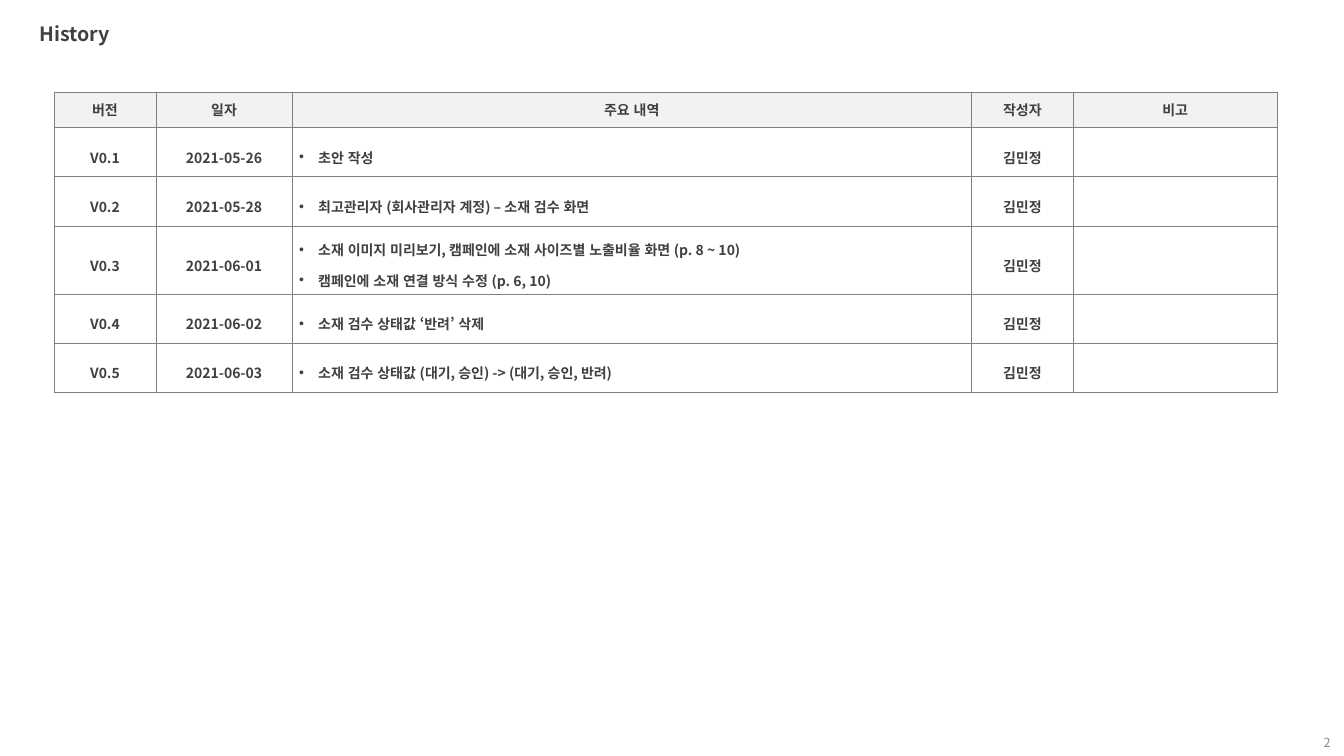
from dataclasses import dataclass

from lxml import etree
from pptx import Presentation
from pptx.dml.color import RGBColor
from pptx.enum.lang import MSO_LANGUAGE_ID
from pptx.enum.text import MSO_ANCHOR, PP_ALIGN
from pptx.oxml.ns import qn
from pptx.util import Cm, Pt

LEFT, CENTER, RIGHT = PP_ALIGN.LEFT, PP_ALIGN.CENTER, PP_ALIGN.RIGHT
TOP, MIDDLE = MSO_ANCHOR.TOP, MSO_ANCHOR.MIDDLE
KOREAN = MSO_LANGUAGE_ID.KOREAN
TITLE_ONLY = 5


@dataclass(frozen=True)
class Theme:
    font: str = "Noto Sans CJK KR"
    ink: str = "404040"
    muted: str = "8C8C8C"
    border: str = "808080"
    header_fill: str = "F2F2F2"
    body_fill: str = "FFFFFF"
    title_size: int = 14
    table_size: int = 10
    page_size: int = 9


THEME = Theme()


def write(paragraph, text, size, color, bold, **paragraph_format):
    """Add one run in the theme font and format its paragraph."""
    for name, value in paragraph_format.items():
        setattr(paragraph, name, value)
    run = paragraph.add_run()
    run.text = text
    font_format = {"name": THEME.font, "size": Pt(size), "bold": bold, "language_id": KOREAN}
    for name, value in font_format.items():
        setattr(run.font, name, value)
    run.font.color.rgb = RGBColor.from_string(color)
    etree.SubElement(run.font._element, qn("a:ea"), typeface=THEME.font)


def draw_borders(cell):
    """Put a hairline on all four sides of a table cell."""
    properties = cell._tc.get_or_add_tcPr()
    for index, side in enumerate(("lnL", "lnR", "lnT", "lnB")):
        line = etree.Element(qn(f"a:{side}"), w=str(Pt(0.25)))
        fill = etree.SubElement(line, qn("a:solidFill"))
        etree.SubElement(fill, qn("a:srgbClr"), val=THEME.border)
        properties.insert(index, line)


# Content
HEADERS = ["버전", "일자", "주요 내역", "작성자", "비고"]
AUTHOR = "김민정"
REVISIONS = [
    ("V0.1", "2021-05-26", ["초안 작성"]),
    ("V0.2", "2021-05-28", ["최고관리자 (회사관리자 계정) – 소재 검수 화면"]),
    ("V0.3", "2021-06-01", [
        "소재 이미지 미리보기, 캠페인에 소재 사이즈별 노출비율 화면 (p. 8 ~ 10)",
        "캠페인에 소재 연결 방식 수정 (p. 6, 10)",
    ]),
    ("V0.4", "2021-06-02", ["소재 검수 상태값 ‘반려’ 삭제"]),
    ("V0.5", "2021-06-03", ["소재 검수 상태값 (대기, 승인) -> (대기, 승인, 반려)"]),
]
COLUMN_WIDTHS = [2.57, 3.43, 17.12, 2.57, 5.13]
HEADER_HEIGHT = 0.89
HEIGHT_BY_LINES = {1: 1.24, 2: 1.72}
CHANGES_COLUMN = HEADERS.index("주요 내역")

# Slide
prs = Presentation()
prs.slide_width, prs.slide_height = Cm(33.87), Cm(19.05)
slide = prs.slides.add_slide(prs.slide_layouts[TITLE_ONLY])

# Title
title = slide.shapes.title
title_box = {"left": 0.99, "top": 0.55, "width": 8.51, "height": 0.66}
for name, value in title_box.items():
    setattr(title, name, Cm(value))
for side in ("left", "right", "top", "bottom"):
    setattr(title.text_frame, f"margin_{side}", 0)
title.text_frame.vertical_anchor = TOP
write(title.text_frame.paragraphs[0], "History", THEME.title_size, THEME.ink, True,
      alignment=LEFT)

# Page number
page_number = slide.shapes.add_textbox(Cm(31.8), Cm(18.19), Cm(1.98), Cm(1.02)).text_frame
page_number.word_wrap = True
page_number.vertical_anchor = MIDDLE
write(page_number.paragraphs[0], "2", THEME.page_size, THEME.muted, False, alignment=RIGHT)

# Revision table, with each row tall enough for its lines
row_heights = [HEADER_HEIGHT]
row_heights += [HEIGHT_BY_LINES[len(changes)] for _, _, changes in REVISIONS]
history = slide.shapes.add_table(
    len(row_heights), len(HEADERS), Cm(1.36), Cm(2.32),
    Cm(sum(COLUMN_WIDTHS)), Cm(sum(row_heights))).table
for column, width in zip(history.columns, COLUMN_WIDTHS):
    column.width = Cm(width)
for row, height in zip(history.rows, row_heights):
    row.height = Cm(height)

# Cell text, fills and borders
rows = [[[header] for header in HEADERS]]
rows += [[[version], [date], changes, [AUTHOR], []] for version, date, changes in REVISIONS]
cell_format = {
    "vertical_anchor": MIDDLE,
    "margin_left": Cm(0.18), "margin_right": Cm(0.18),
    "margin_top": Cm(0.08), "margin_bottom": Cm(0.08),
}
for row_index, row in enumerate(rows):
    is_header = row_index == 0
    for column_index, lines in enumerate(row):
        cell = history.cell(row_index, column_index)
        for name, value in cell_format.items():
            setattr(cell, name, value)
        cell.fill.solid()
        cell.fill.fore_color.rgb = RGBColor.from_string(
            THEME.header_fill if is_header else THEME.body_fill)
        draw_borders(cell)

        bulleted = column_index == CHANGES_COLUMN and not is_header
        for line_index, line in enumerate(lines):
            frame = cell.text_frame
            paragraph = frame.add_paragraph() if line_index else frame.paragraphs[0]
            write(paragraph, line, THEME.table_size, THEME.ink, True,
                  alignment=LEFT if bulleted else CENTER,
                  line_spacing=1.0 if is_header else 1.5)
            if bulleted:
                properties = paragraph._p.get_or_add_pPr()
                properties.set("marL", str(Cm(0.48)))
                properties.set("indent", str(-Cm(0.48)))
                etree.SubElement(properties, qn("a:buFont"), typeface="Arial")
                etree.SubElement(properties, qn("a:buChar"), char="•")

prs.save("out.pptx")
